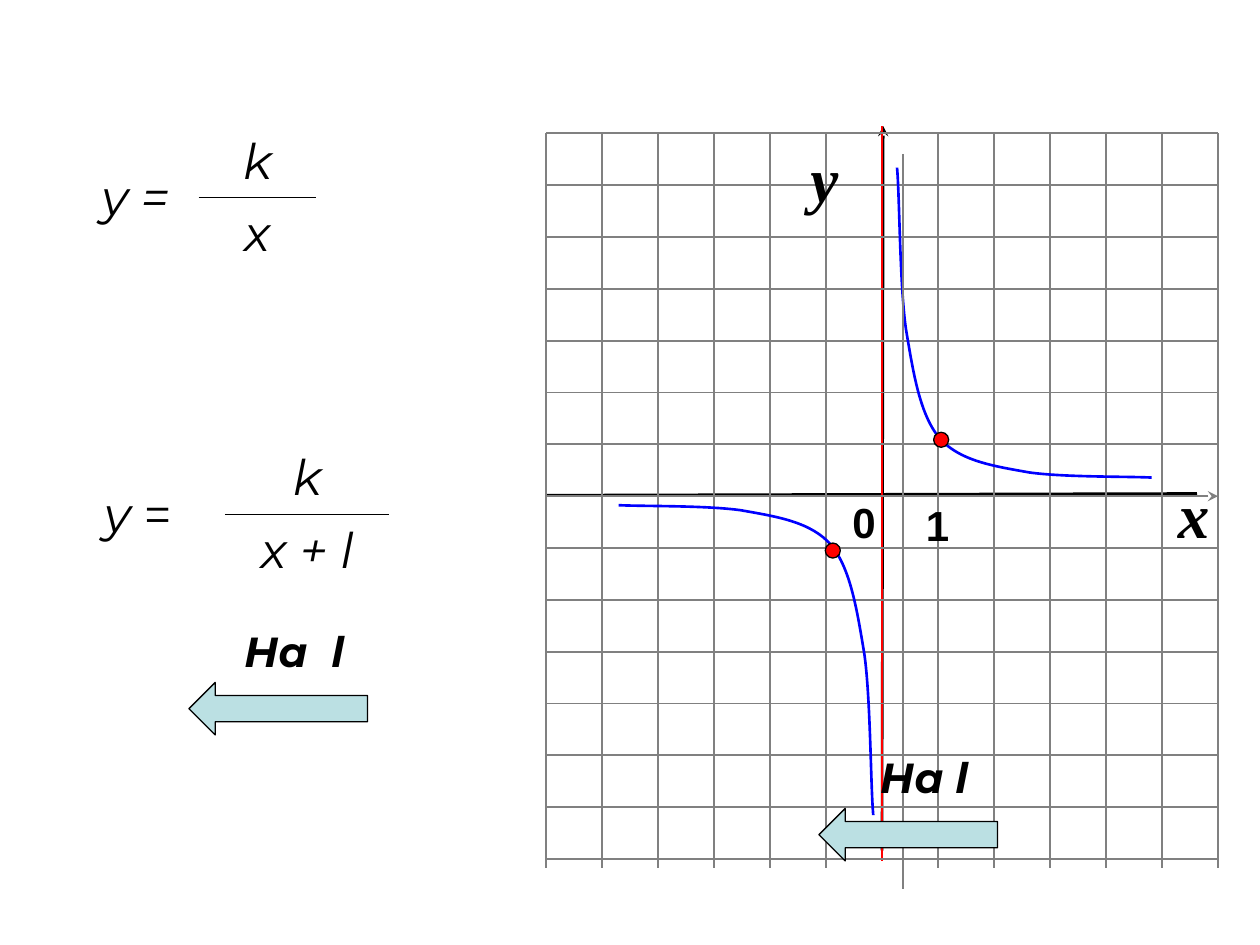
import itertools

import pptx
import pptx.dml.color
import pptx.enum.shapes
import pptx.enum.text
import pptx.oxml
import pptx.oxml.ns
import pptx.util

Pt = pptx.util.Pt
qn = pptx.oxml.ns.qn
SHAPE = pptx.enum.shapes.MSO_SHAPE
CENTER = pptx.enum.text.PP_ALIGN.CENTER
MIDDLE = pptx.enum.text.MSO_ANCHOR.MIDDLE
COLORS = {"ink": "000000", "grid": "808080", "red": "FF0000",
          "curve": "0000FF", "arrow": "BBE0E3"}

GRID = {"left": 312, "top": 76.2, "right": 696, "bottom": 496,
        "dx": 32, "dy": 29.62, "cols": 12, "rows": 14}
Y_AXIS_COL, X_AXIS_ROW = 6, 7
BRANCH = [(512.6, 95.8), (514.1, 111.6), (514.1, 162.7), (517.7, 187.9),
          (522, 213.8), (525.6, 236.2), (536.4, 249.8), (547.9, 263.5),
          (568.1, 266.4), (588.2, 270), (608.4, 272.8), (643.7, 272.2),
          (658.1, 272.9)]
CENTRE = (505.8, 280.8)
DOTS = [(537.8, 251.3), (475.9, 314.6)]
DOT_SIZE = 8.6

SERIF = {"font": "Times New Roman", "size": 36, "bold": True, "italic": True}
SANS = {"font": "Arial", "size": 24, "bold": True}
AXIS_LABELS = [
    ("x", 666, 268, 32.4, 50.4, SERIF),
    ("0", 480, 280, 28, 36, SANS),
    ("y", 456, 76.2, 30.2, 50.4, SERIF),
    ("1", 522, 282, 28, 36, SANS),
]
FORMULAS = [
    {"at": (48, 72), "col": 66, "row": 41,
     "left": [("y = ", True)], "top": "k", "bottom": "x"},
    {"at": (36, 252), "col": 93, "row": 42,
     "left": [("y", True), (" = ", False)], "top": "k", "bottom": "x + l"},
]
SHIFTS = [("На  l", 54, 354), ("На l", 414, 426)]


def rgb(name):
    return pptx.dml.color.RGBColor.from_string(COLORS[name])


def write(tf, text, font="Montserrat", size=28, bold=False, italic=False, align=None):
    p = tf.paragraphs[0]
    if align is not None:
        p.alignment = align
    r = p.add_run()
    r.text = text
    r.font.name, r.font.size = font, Pt(size)
    r.font.bold, r.font.italic = bold, italic
    r.font.color.rgb = rgb("ink")


def add_label(s, text, x, y, w, h, wrap=False, anchor=None, **fmt):
    tf = s.shapes.add_textbox(Pt(x), Pt(y), Pt(w), Pt(h)).text_frame
    tf.word_wrap = wrap
    if anchor is not None:
        tf.vertical_anchor = anchor
    write(tf, text, **fmt)


def add_line(s, x1, y1, x2, y2, color="grid", width=1, arrow=False):
    line = s.shapes.add_connector(pptx.enum.shapes.MSO_CONNECTOR.STRAIGHT,
                                  Pt(x1), Pt(y1), Pt(x2), Pt(y2))
    line.line.color.rgb = rgb(color)
    line.line.width = Pt(width)
    if arrow:
        head = line.line._get_or_add_ln().makeelement(qn("a:headEnd"), {"type": "stealth"})
        line.line._get_or_add_ln().append(head)
    sp_pr = line._element.spPr
    sp_pr.append(sp_pr.makeelement(qn("a:effectLst"), {}))


def add_curve(s, points):
    start, *rest = [(Pt(x), Pt(y)) for x, y in points]
    builder = s.shapes.build_freeform(*start)
    builder.add_line_segments(rest, close=False)
    sp = builder.convert_to_shape()
    outline = sp._element.find(".//" + qn("a:path"))
    segments = outline.findall(qn("a:lnTo"))
    for i in range(0, len(segments), 3):
        bezier = outline.makeelement(qn("a:cubicBezTo"), {})
        outline.append(bezier)
        for segment in segments[i:i + 3]:
            bezier.append(segment[0])
            outline.remove(segment)
    sp.fill.background()
    sp.line.color.rgb = rgb("curve")
    sp.line.width = Pt(1.5)
    sp.shadow.inherit = False


def add_shape(s, kind, x, y, w, h, color):
    sp = s.shapes.add_shape(kind, Pt(x), Pt(y), Pt(w), Pt(h))
    sp.fill.solid()
    sp.fill.fore_color.rgb = rgb(color)
    sp.line.color.rgb = rgb("ink")
    sp.line.width = Pt(0.75)
    sp.shadow.inherit = False


def add_border(cell, side):
    tc_pr = cell._tc.get_or_add_tcPr()
    tc_pr.insert(0, pptx.oxml.parse_xml(
        f'<a:{side} xmlns:a="http://schemas.openxmlformats.org/drawingml/2006/main" '
        f'w="{Pt(1)}"><a:solidFill><a:srgbClr val="{COLORS["ink"]}"/>'
        f'</a:solidFill></a:{side}>'))


def add_formula(s, f):
    x, y = f["at"]
    table = s.shapes.add_table(2, 2, Pt(x), Pt(y), Pt(2 * f["col"]), Pt(2 * f["row"])).table
    table.first_row = table.horz_banding = False
    for col in table.columns:
        col.width = Pt(f["col"])
    for row in table.rows:
        row.height = Pt(f["row"])
    for r, c in itertools.product(range(2), repeat=2):
        table.cell(r, c).fill.background()
        table.cell(r, c).vertical_anchor = MIDDLE
    table.cell(0, 0).merge(table.cell(1, 0))
    for text, italic in f["left"]:
        write(table.cell(0, 0).text_frame, text, italic=italic, align=CENTER)
    for r, (part, side) in enumerate([("top", "lnB"), ("bottom", "lnT")]):
        write(table.cell(r, 1).text_frame, f[part], italic=True, align=CENTER)
        add_border(table.cell(r, 1), side)


def add_grid(s):
    g = GRID
    add_line(s, 504.7, 72, 504, 486, "ink", 1.5, arrow=True)
    add_line(s, 684, 282, g["left"], 283, "ink", 1.5)
    for i in range(g["cols"] + 1):
        x = g["left"] + i * g["dx"]
        if i == Y_AXIS_COL:
            add_line(s, x, 72, x, 492, "red")
        else:
            add_line(s, x, g["top"], x, g["bottom"])
    for i in range(g["rows"] + 1):
        y = g["top"] + i * g["dy"]
        add_line(s, g["right"], y, g["left"], y, arrow=i == X_AXIS_ROW)


def main():
    prs = pptx.Presentation()
    prs.slide_width, prs.slide_height = Pt(720), Pt(540)
    s = prs.slides.add_slide(prs.slide_layouts[6])
    add_grid(s)
    for text, x, y, w, h, fmt in AXIS_LABELS:
        add_label(s, text, x, y, w, h, **fmt)
    add_curve(s, BRANCH)
    add_curve(s, [(2 * CENTRE[0] - x, 2 * CENTRE[1] - y) for x, y in BRANCH])
    for x, y in DOTS:
        add_shape(s, SHAPE.OVAL, x - DOT_SIZE / 2, y - DOT_SIZE / 2,
                  DOT_SIZE, DOT_SIZE, "red")
    add_line(s, 516, 88, 516, 508)
    for formula in FORMULAS:
        add_formula(s, formula)
    for text, x, y in SHIFTS:
        add_shape(s, SHAPE.LEFT_ARROW, x + 54, y + 36, 102, 30, "arrow")
        add_label(s, text, x, y, 228, 36, wrap=True, anchor=MIDDLE,
                  size=24, bold=True, italic=True, align=CENTER)
    prs.save("out.pptx")


if __name__ == "__main__":
    main()
